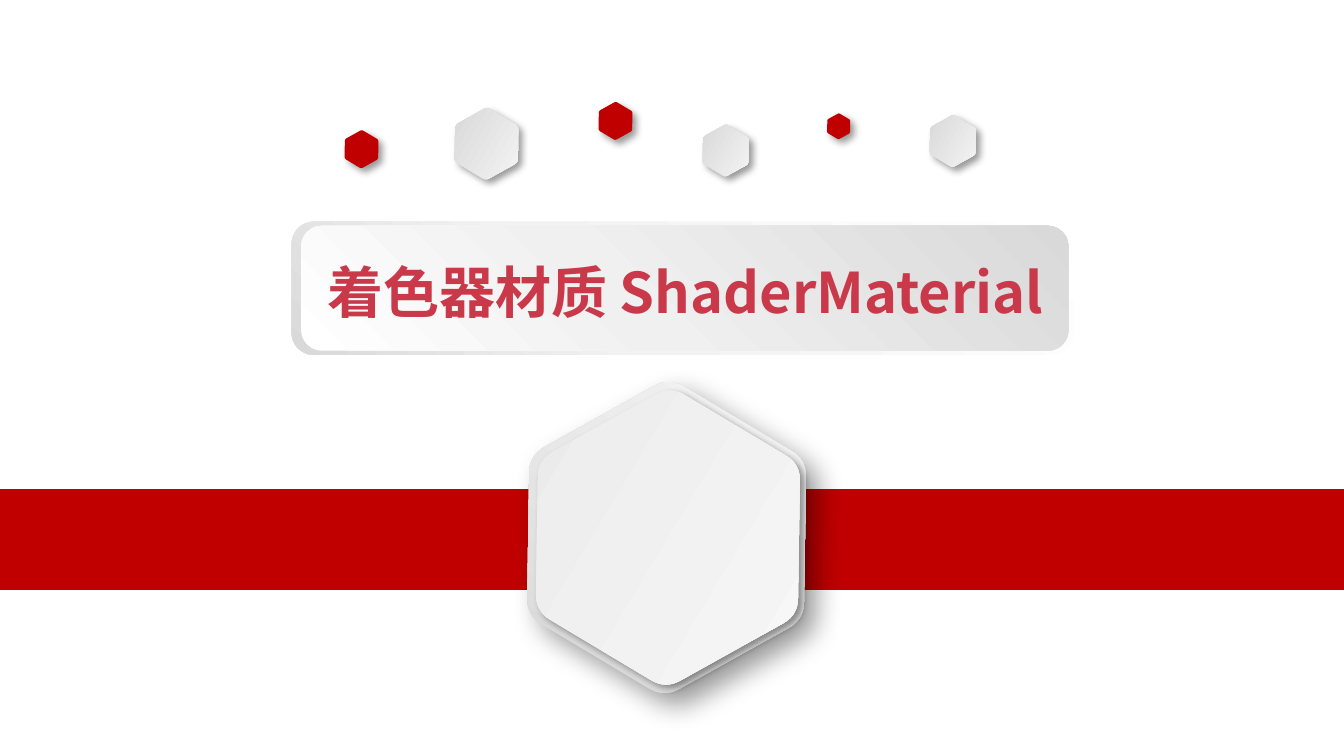
import math
import pptx
import pptx.util
import pptx.dml.color
import pptx.enum.shapes
import pptx.enum.text
import pptx.oxml
import pptx.oxml.ns
from lxml import etree

Inches = pptx.util.Inches
Pt = pptx.util.Pt
RGB = pptx.dml.color.RGBColor.from_string
KIND = pptx.enum.shapes.MSO_SHAPE
qn = pptx.oxml.ns.qn
NS = pptx.oxml.ns.nsdecls("a")
FONT = "Noto Sans CJK SC"
COLORS = {"red": "C00000", "rose": "C9394A", "white": "FFFFFF", "black": "000000",
          "grey": "D3D3D3", "mist": "E9E9E9", "pale": "F9F9F9",
          "soft": "F2F2F2", "haze": "F0F0F0", "ash": "D9D9D9"}


def paint(shape, stops, angle=0):
    shape.shadow.inherit = False
    shape.line.fill.background()
    if len(stops) == 1:
        shape.fill.solid()
        shape.fill.fore_color.rgb = RGB(COLORS[stops[0][1]])
        return
    shape.fill.gradient()
    grad = shape._element.spPr.find(qn("a:gradFill"))
    marks = "".join(f'<a:gs pos="{pos * 1000}"><a:srgbClr val="{COLORS[name]}"/></a:gs>'
                    for pos, name in stops)
    grad.replace(grad.find(qn("a:gsLst")),
                 pptx.oxml.parse_xml(f"<a:gsLst {NS}>{marks}</a:gsLst>"))
    grad.find(qn("a:lin")).set("ang", str(angle * 60000))


def write(shape, text, size=18, color="black", bold=False, align="CENTER"):
    frame = shape.text_frame
    frame.word_wrap = True
    frame.auto_size = pptx.enum.text.MSO_AUTO_SIZE.NONE
    frame.vertical_anchor = pptx.enum.text.MSO_ANCHOR.MIDDLE
    par = frame.paragraphs[0]
    par.alignment = pptx.enum.text.PP_ALIGN[align]
    par.line_spacing = 1.0
    run = par.add_run()
    run.text = text
    font = run.font
    font.name, font.size, font.bold = FONT, Pt(size), bold
    font.color.rgb = RGB(COLORS[color])
    latin = run._r.rPr.find(qn("a:latin"))
    east = etree.Element(qn("a:ea"), typeface=FONT)
    latin.addnext(east)


deck = pptx.Presentation()
deck.slide_width = Inches(10)
deck.slide_height = deck.slide_width * 9 // 16
slide = deck.slides.add_slide(deck.slide_layouts[5])
shapes = slide.shapes

band = shapes.add_shape(KIND.RECTANGLE, 0, Inches(3.64), Inches(10), Inches(0.75))
paint(band, [(0, "red")])

red = [(0, "red")]
grey = [(0, "grey"), (100, "pale")]
light = [(0, "mist"), (100, "pale")]
hexes = [
    (3.62, 1.07, 0.47, grey, 0, 4, 3),
    (4.58, 0.9, 0.25, red, 0, 4, 3),
    (2.69, 1.11, 0.25, red, 0, 4, 3),
    (5.4, 1.12, 0.34, grey, 0, 4, 3),
    (6.24, 0.94, 0.17, red, 0, 4, 3),
    (7.09, 1.05, 0.34, grey, 0, 4, 3),
    (4.96, 4, 2.06, grey, 270, 15, 9),
    (4.97, 4, 1.95, light, 0, 4, 3),
]
CUT = 0.11
STEPS = 8
for x, y, high, stops, angle, blur, dist in hexes:
    rad = high / math.sqrt(3)
    tips = [(x + rad * math.cos(math.radians(60 * i)),
             y + rad * math.sin(math.radians(60 * i))) for i in range(6)]
    dots = []
    for i, tip in enumerate(tips):
        prev, nxt = tips[i - 1], tips[(i + 1) % 6]
        start = [t + CUT * (p - t) for t, p in zip(tip, prev)]
        end = [t + CUT * (n - t) for t, n in zip(tip, nxt)]
        for k in range(STEPS + 1):
            u = k / STEPS
            dots.append([Inches((1 - u) ** 2 * a + 2 * u * (1 - u) * t + u * u * b)
                         for a, t, b in zip(start, tip, end)])
    pen = shapes.build_freeform(*dots[0], scale=1.0)
    pen.add_line_segments(dots[1:], close=True)
    tile = pen.convert_to_shape()
    tile.rotation = 30.9
    paint(tile, stops, angle)
    glow = tile._element.spPr.find(qn("a:effectLst"))
    glow.append(pptx.oxml.parse_xml(
        f'<a:outerShdw {NS} blurRad="{Pt(blur)}" dist="{Pt(dist)}" dir="2700000" '
        f'algn="tl" rotWithShape="0"><a:srgbClr val="{COLORS["black"]}">'
        '<a:alpha val="40000"/></a:srgbClr></a:outerShdw>'))

plates = [
    (2.17, 1.65, 5.82, 0.99, 62, "soft", 135),
    (2.24, 1.68, 5.71, 0.93, 42, "haze", 315),
]
for x, y, wide, high, mid, tone, angle in plates:
    plate = shapes.add_shape(KIND.ROUNDED_RECTANGLE, Inches(x), Inches(y),
                             Inches(wide), Inches(high))
    paint(plate, [(0, "white"), (mid, tone), (100, "ash")], angle)

title = shapes.title
title.left, title.top = Inches(2.19), Inches(1.86)
title.width, title.height = Inches(5.82), Inches(0.61)
write(title, "着色器材质 ShaderMaterial", size=30, color="rose", bold=True)
shapes._spTree.append(title._element)

deck.save("out.pptx")
